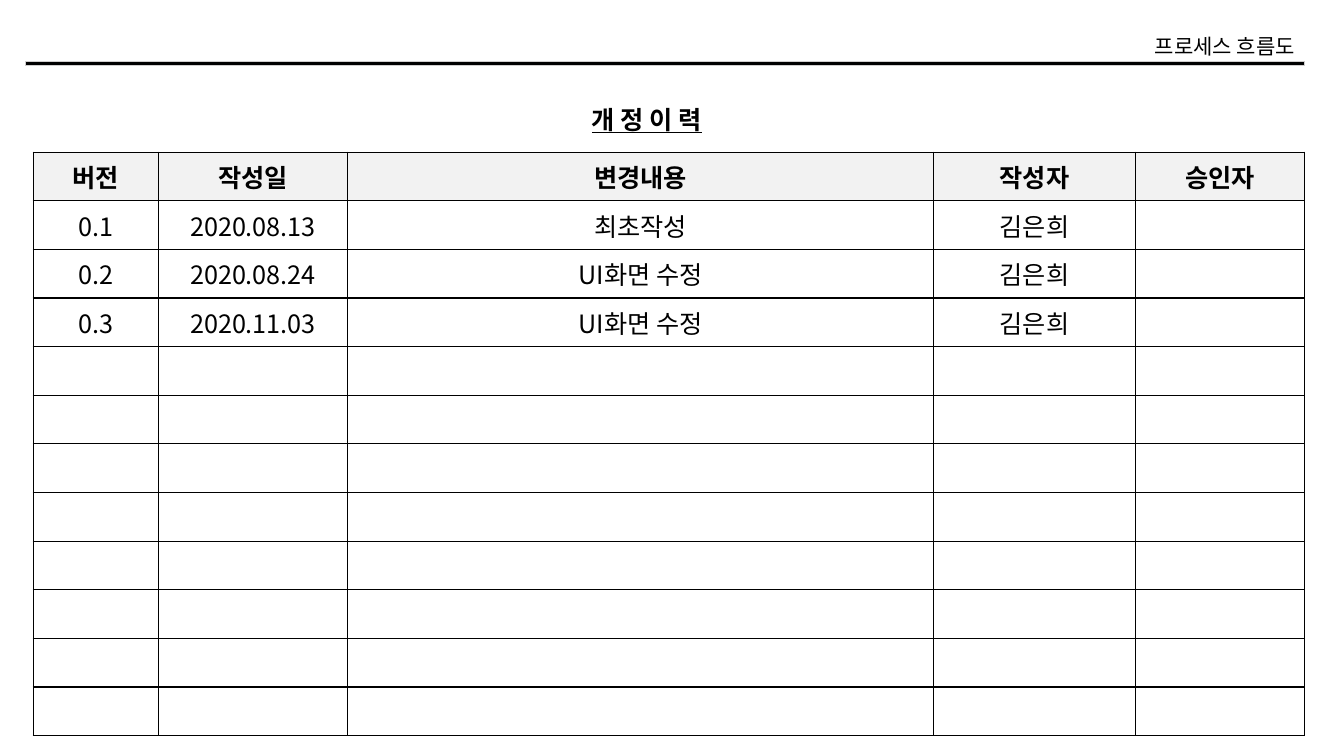
from lxml.etree import SubElement
from pptx import Presentation
from pptx.dml.color import RGBColor
from pptx.enum.shapes import MSO_SHAPE
from pptx.enum.text import MSO_ANCHOR, PP_ALIGN
from pptx.oxml import parse_xml
from pptx.oxml.ns import nsdecls, qn
from pptx.util import Inches, Pt

BLACK = RGBColor(0x00, 0x00, 0x00)
RULE_EDGE = RGBColor(0xD0, 0xCE, 0xCE)
HEADER_FILL = RGBColor(0xF2, 0xF2, 0xF2)
FONT = "Noto Sans CJK KR"

COLUMN_WIDTHS = (1.24, 1.88, 5.81, 2, 1.68)
ROW_COUNT = 12
HEADINGS = ("버전", "작성일", "변경내용", "작성자", "승인자")
REVISIONS = (
    ("0.1", "2020.08.13", "최초작성", "김은희"),
    ("0.2", "2020.08.24", "UI화면 수정", "김은희"),
    ("0.3", "2020.11.03", "UI화면 수정", "김은희"),
)


def write_text(frame, text, size=18, align=PP_ALIGN.LEFT, bold=False, underline=False):
    para = frame.paragraphs[0]
    para.alignment = align
    span = para.add_run()
    span.text = text
    span.font.size = Pt(size)
    span.font.bold = bold
    span.font.underline = underline
    span.font.color.rgb = BLACK
    span.font.name = FONT
    # Korean glyphs take the East Asian typeface, not the Latin one.
    SubElement(span.font._element, qn("a:ea")).set("typeface", FONT)


def add_page_header(page, left, top, width):
    rule = page.shapes.add_shape(MSO_SHAPE.RECTANGLE, Inches(left), Inches(top + 0.33),
                                 Inches(width), Inches(0.04))
    rule.shadow.inherit = False
    rule.fill.solid()
    rule.fill.fore_color.rgb = BLACK
    rule.line.color.rgb = RULE_EDGE
    rule.line.width = Pt(0.3)

    label_width = 1.75
    label = page.shapes.add_textbox(Inches(left + width - label_width), Inches(top),
                                    Inches(label_width), Inches(0.35))
    label.text_frame.word_wrap = False
    write_text(label.text_frame, "프로세스 흐름도", size=15, align=PP_ALIGN.RIGHT)


def place_title(page, left, top, width, height):
    title = page.shapes.title
    title.left, title.top = Inches(left), Inches(top)
    title.width, title.height = Inches(width), Inches(height)
    title.text_frame.vertical_anchor = MSO_ANCHOR.TOP
    write_text(title.text_frame, "개 정 이 력", bold=True, underline=True)


def draw_borders(cell):
    properties = cell._tc.get_or_add_tcPr()
    for position, side in enumerate(("lnL", "lnR", "lnT", "lnB")):
        properties.insert(position, parse_xml(
            f'<a:{side} {nsdecls("a")} w="{Pt(1)}"><a:solidFill>'
            f'<a:srgbClr val="{BLACK}"/></a:solidFill></a:{side}>'))


def add_revision_table(page, left, top, width, height):
    table = page.shapes.add_table(ROW_COUNT, len(COLUMN_WIDTHS), Inches(left), Inches(top),
                                  Inches(width), Inches(height)).table
    table.horz_banding = False
    for column, column_width in zip(table.columns, COLUMN_WIDTHS):
        column.width = Inches(column_width)
    for row in table.rows:
        row.height = Inches(height / ROW_COUNT)

    for cell in table.iter_cells():
        cell.vertical_anchor = MSO_ANCHOR.MIDDLE
        cell.fill.background()
        draw_borders(cell)
    for cell in table.rows[0].cells:
        cell.fill.solid()
        cell.fill.fore_color.rgb = HEADER_FILL

    for row_index, values in enumerate((HEADINGS, *REVISIONS)):
        for column_index, value in enumerate(values):
            write_text(table.cell(row_index, column_index).text_frame, value,
                       align=PP_ALIGN.CENTER, bold=row_index == 0)


def main():
    deck = Presentation()
    deck.slide_width, deck.slide_height = Inches(13.33), Inches(7.5)
    page = deck.slides.add_slide(deck.slide_layouts[5])
    add_page_header(page, 0.25, 0.28, 12.69)
    place_title(page, 5.77, 0.98, 1.67, 0.4)
    add_revision_table(page, 0.33, 1.51, sum(COLUMN_WIDTHS), 5.79)
    deck.save("out.pptx")


if __name__ == "__main__":
    main()
